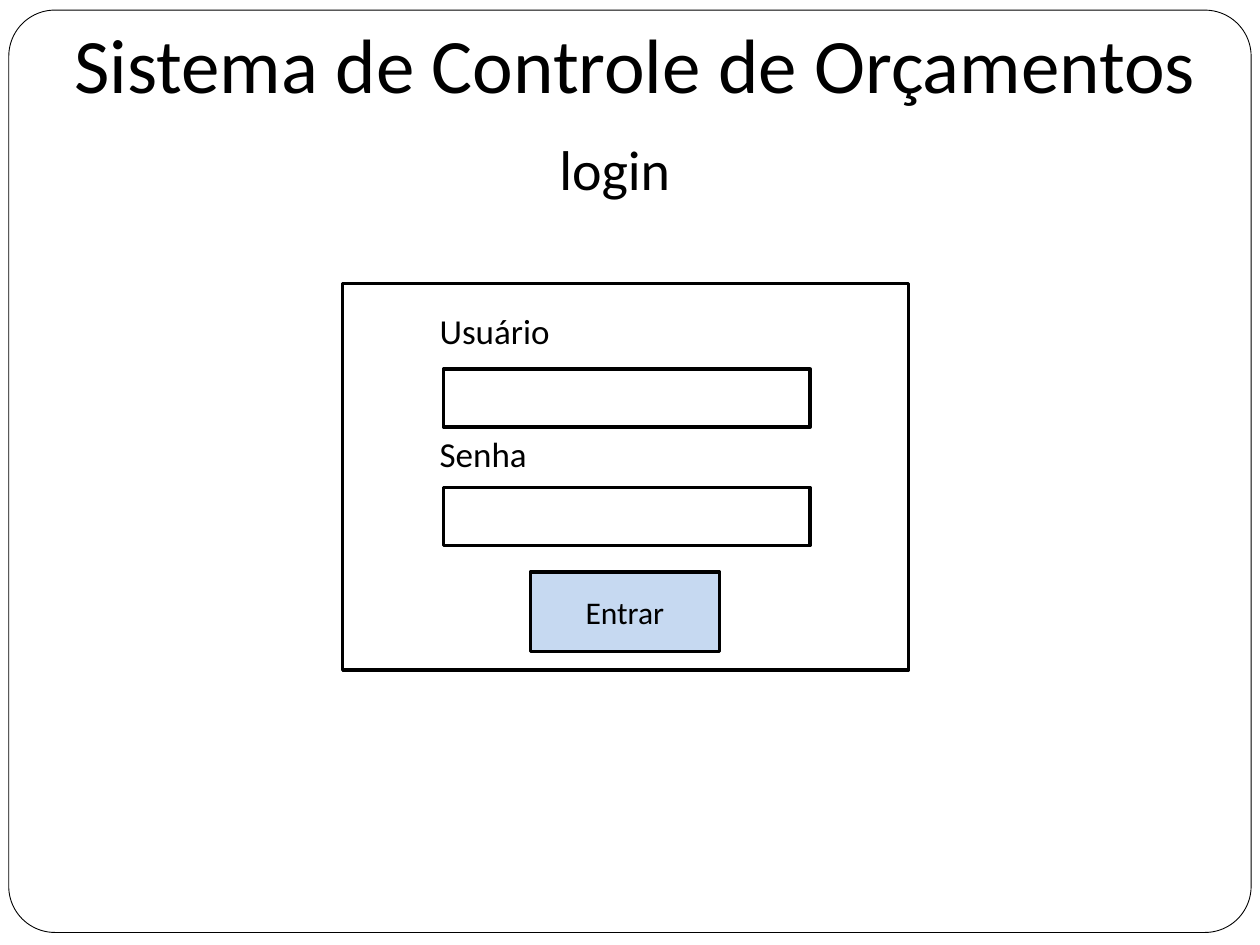
from typing import NamedTuple

from pptx import Presentation
from pptx.dml.color import RGBColor
from pptx.enum.shapes import MSO_SHAPE
from pptx.enum.text import MSO_ANCHOR, PP_ALIGN
from pptx.util import Inches, Pt

COLORS = {"ink": "000000", "paper": "FFFFFF", "button": "C6D9F1"}
FONT = "Calibri"

deck = Presentation()
deck.slide_width, deck.slide_height = Inches(10), Inches(7.5)
page = deck.slides.add_slide(deck.slide_layouts[6])


class Area(NamedTuple):
    """Left, top, width and height in percent of the slide's size."""
    left: float
    top: float
    width: float
    height: float

    def lengths(self) -> list[int]:
        sides = (deck.slide_width, deck.slide_height) * 2
        return [round(side * share / 100) for side, share in zip(sides, self)]


class Label(NamedTuple):
    text: str
    area: Area
    size: int
    align: PP_ALIGN = PP_ALIGN.CENTER


def color(name: str) -> RGBColor:
    return RGBColor.from_string(COLORS[name])


def write(shape, text: str, size: int, align: PP_ALIGN) -> None:
    shape.text_frame.word_wrap = True
    para = shape.text_frame.paragraphs[0]
    para.text = text
    para.alignment = align
    para.font.name = FONT
    para.font.size = Pt(size)
    para.font.color.rgb = color("ink")


def draw_panel(area: Area, fill: str = "paper", line: float = 2,
               kind: MSO_SHAPE = MSO_SHAPE.RECTANGLE):
    panel = page.shapes.add_shape(kind, *area.lengths())
    panel.shadow.inherit = False
    panel.fill.solid()
    panel.fill.fore_color.rgb = color(fill)
    panel.line.color.rgb = color("ink")
    panel.line.width = Pt(line)
    return panel


def draw_label(label: Label) -> None:
    box = page.shapes.add_textbox(*label.area.lengths())
    write(box, label.text, label.size, label.align)


FRAME = Area(0.7, 1.07, 98.6, 97.6)
FORM = Area(27.2, 30, 44.9, 40.93)
BUTTON = Area(42.1, 60.53, 15, 8.4)
TITLE = Label("Sistema de Controle de Orçamentos", Area(2.8, 1.07, 95.3, 6.93), 44)
SUBTITLE = Label("login", Area(13.8, 13.6, 70, 6.93), 32)
# Field name, top of its label, top of its input
FIELDS = [("Usuário", 32.13, 39.07), ("Senha", 45.07, 51.6)]

frame = draw_panel(FRAME, line=0.5, kind=MSO_SHAPE.ROUNDED_RECTANGLE)
frame.adjustments[0] = 0.05
draw_label(SUBTITLE)
draw_panel(FORM)
for name, label_top, input_top in FIELDS:
    draw_panel(Area(35.2, input_top, 29.1, 6.13))
    draw_label(Label(name, Area(33.9, label_top, 31.1, 4.93), 20, PP_ALIGN.LEFT))

button = draw_panel(BUTTON, "button")
button.text_frame.vertical_anchor = MSO_ANCHOR.MIDDLE
write(button, "Entrar", 18, PP_ALIGN.CENTER)
draw_label(TITLE)

deck.save("out.pptx")
